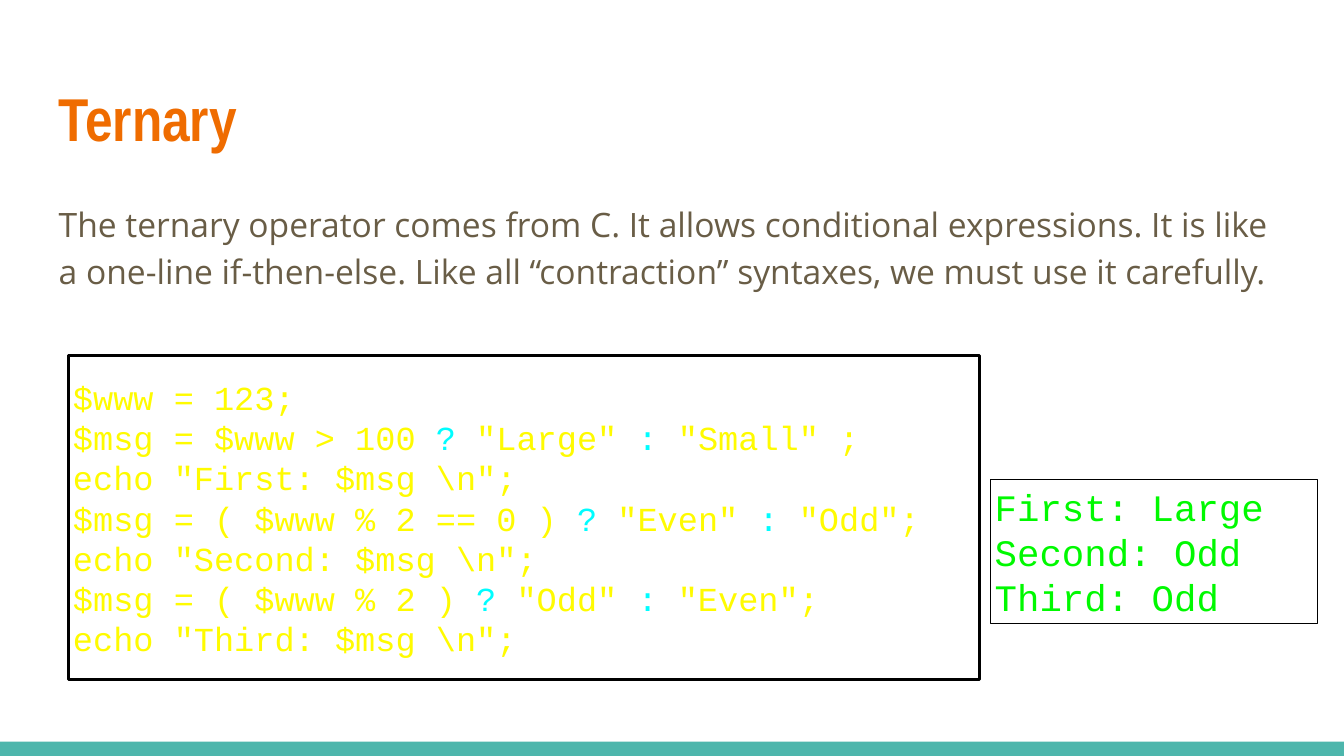
from pptx import Presentation
from pptx.dml.color import RGBColor
from pptx.enum import shapes, text
from pptx.util import Cm, Pt

COLORS = {
    "band": "4DB6AC",
    "title": "EF6C00",
    "body": "695D46",
    "code": "FFFB00",
    "operator": "00FDFF",
    "output": "00F900",
    "border": "000000",
}
MONO = "Courier New"


class SlideBuilder:
    def __init__(self, slide):
        self.slide = slide

    def color(self, name):
        return RGBColor.from_string(COLORS[name])

    def rectangle(self, left, top, width, height):
        box = self.slide.shapes.add_shape(
            shapes.MSO_SHAPE.RECTANGLE, Cm(left), Cm(top), Cm(width), Cm(height))
        box.shadow.inherit = False
        return box

    def band(self, *place):
        strip = self.rectangle(*place)
        strip.fill.solid()
        strip.fill.fore_color.rgb = self.color("band")
        strip.line.fill.background()

    def frame(self, box, inset, anchor):
        frame = box.text_frame
        frame.word_wrap = True
        frame.vertical_anchor = anchor
        frame.margin_left = frame.margin_right = Cm(inset)
        frame.margin_top = frame.margin_bottom = Cm(inset)
        return frame

    def style(self, paragraph, font, size, color, bold=False):
        paragraph.alignment = text.PP_ALIGN.LEFT
        paragraph.font.name = font
        paragraph.font.size = Pt(size)
        paragraph.font.bold = bold
        paragraph.font.color.rgb = self.color(color)

    def label(self, words, place, font, size, color, anchor, bold=False, spacing=1.0):
        box = self.slide.shapes.add_textbox(*map(Cm, place))
        paragraph = self.frame(box, 0.25, anchor).paragraphs[0]
        paragraph.text = words
        paragraph.line_spacing = spacing
        self.style(paragraph, font, size, color, bold)

    def listing(self, lines, place, size, color, border):
        box = self.rectangle(*place)
        box.fill.background()
        box.line.color.rgb = self.color("border")
        box.line.width = Pt(border)
        frame = self.frame(box, 0.08, text.MSO_ANCHOR.MIDDLE)
        for index, pieces in enumerate(lines):
            paragraph = frame.add_paragraph() if index else frame.paragraphs[0]
            self.style(paragraph, MONO, size, color)
            for position, piece in enumerate(pieces):
                run = paragraph.add_run()
                run.text = piece
                if position % 2:
                    run.font.color.rgb = self.color("operator")


def main():
    deck = Presentation()
    deck.slide_width, deck.slide_height = Cm(25.4), Cm(14.29)
    builder = SlideBuilder(deck.slides.add_slide(deck.slide_layouts[6]))

    builder.band(0, 14.02, 25.4, 0.27)
    builder.label("Ternary", (0.86, 1.24, 23.67, 1.96), "Arial Narrow", 32.4,
                  "title", text.MSO_ANCHOR.MIDDLE, bold=True)
    builder.label(
        "The ternary operator comes from C. It allows conditional expressions. "
        "It is like a one-line if-then-else. Like all “contraction” syntaxes, "
        "we must use it carefully.",
        (0.86, 3.5, 23.67, 9.17), "Open Sans", 18, "body",
        text.MSO_ANCHOR.TOP, spacing=1.15)

    code = [
        ["$www = 123;"],
        ["$msg = $www > 100 ", "?", ' "Large" ', ":", ' "Small" ;'],
        ['echo "First: $msg \\n";'],
        ["$msg = ( $www % 2 == 0 ) ", "?", ' "Even" ', ":", ' "Odd";'],
        ['echo "Second: $msg \\n";'],
        ["$msg = ( $www % 2 ) ", "?", ' "Odd" ', ":", ' "Even";'],
        ['echo "Third: $msg \\n";'],
    ]
    builder.listing(code, (1.3, 6.72, 17.21, 6.13), 18, "code", 1.5)

    output = [["First: Large"], ["Second: Odd"], ["Third: Odd"]]
    builder.listing(output, (18.72, 9.06, 6.18, 2.73), 20, "output", 0.75)

    deck.save("out.pptx")


if __name__ == "__main__":
    main()
